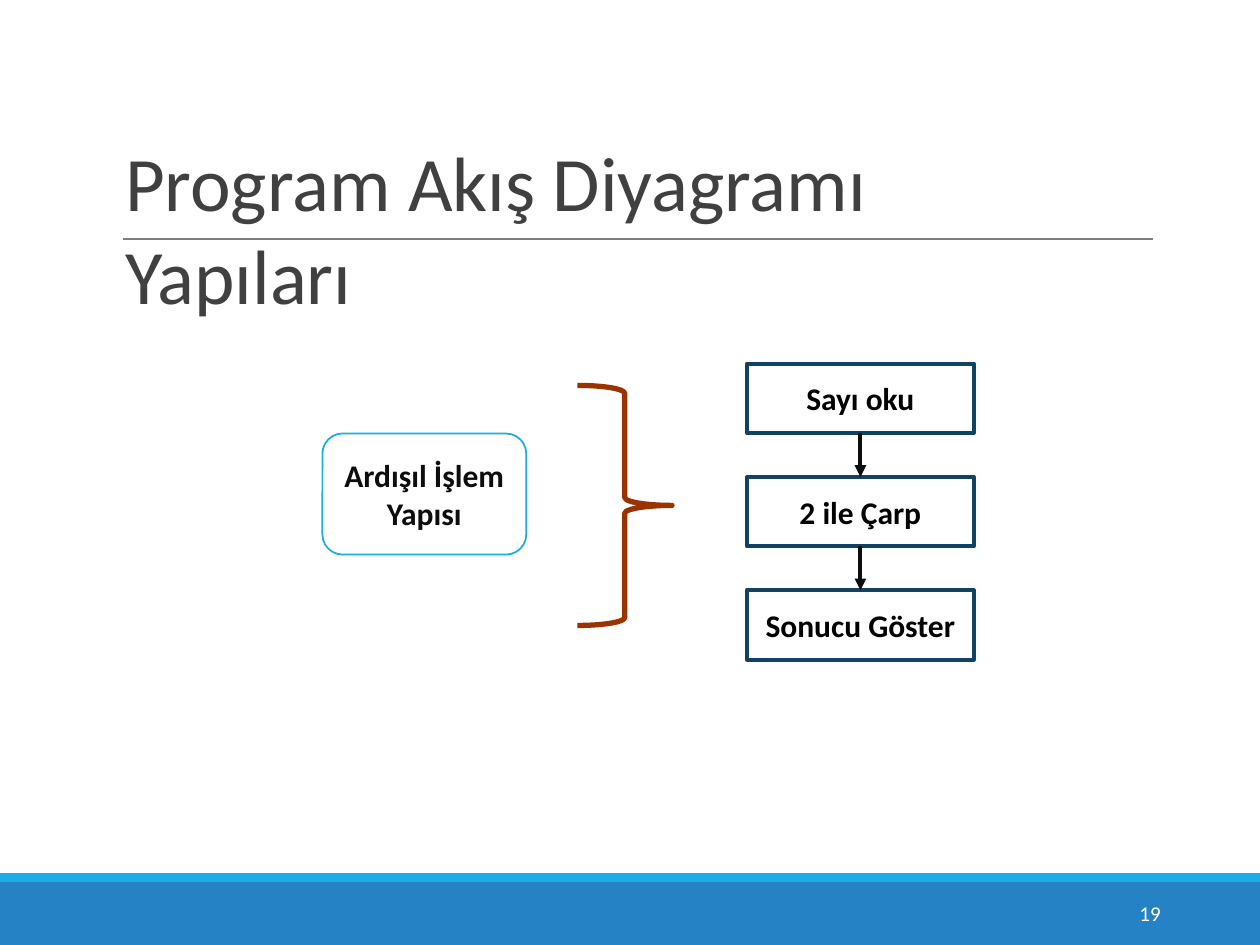
from itertools import pairwise

from lxml.etree import SubElement
from pptx import Presentation
from pptx.dml.color import RGBColor
from pptx.enum.shapes import MSO_CONNECTOR, MSO_SHAPE
from pptx.enum.text import MSO_ANCHOR, MSO_AUTO_SIZE, PP_ALIGN
from pptx.oxml.ns import qn
from pptx.util import Cm, Pt

SLIDE_WIDTH, SLIDE_HEIGHT = 25.4, 19.05
BLUE, CYAN, NAVY, RUST = "2583C5", "1CACE3", "124262", "993300"
INK, BLACK, WHITE, GRAY, TITLE_GRAY = "0D0D0D", "000000", "FFFFFF", "7E7E7E", "404040"


def color(hex_string):
    return RGBColor.from_string(hex_string)


def write(shape, lines, size, font_color, bold=False, align=PP_ALIGN.CENTER,
          anchor=MSO_ANCHOR.MIDDLE):
    frame = shape.text_frame
    frame.margin_left = frame.margin_right = frame.margin_top = frame.margin_bottom = 0
    frame.word_wrap = True
    frame.auto_size = MSO_AUTO_SIZE.NONE
    frame.vertical_anchor = anchor
    frame.text = "\n".join(lines)
    for paragraph in frame.paragraphs:
        paragraph.alignment = align
        paragraph.font.name = "Calibri"
        paragraph.font.size = Pt(size)
        paragraph.font.bold = bold
        paragraph.font.color.rgb = color(font_color)


def add_box(slide, kind, left, top, width, height, fill=None, line=None, line_width=1):
    shape = slide.shapes.add_shape(kind, Cm(left), Cm(top), Cm(width), Cm(height))
    shape.shadow.inherit = False
    if fill:
        shape.fill.solid()
        shape.fill.fore_color.rgb = color(fill)
    else:
        shape.fill.background()
    if line:
        shape.line.color.rgb = color(line)
        shape.line.width = Pt(line_width)
    else:
        shape.line.fill.background()
    return shape


def add_line(slide, start, end, line_color, width):
    line = slide.shapes.add_connector(
        MSO_CONNECTOR.STRAIGHT, *(Cm(value) for value in (*start, *end)))
    line.line.color.rgb = color(line_color)
    line.line.width = Pt(width)
    SubElement(line._element.spPr, qn("a:effectLst"))
    return line


def add_title(slide, left, top, width, height):
    title = slide.shapes.title
    title.left, title.top, title.width, title.height = (
        Cm(value) for value in (left, top, width, height))
    write(title, ["Program Akış Diyagramı Yapıları"], 44, TITLE_GRAY,
          align=PP_ALIGN.LEFT, anchor=MSO_ANCHOR.TOP)
    rule_top = top + 2.1
    add_line(slide, (left - 0.04, rule_top), (left + 20.73, rule_top), GRAY, 0.75)


def add_footer(slide, left, top, width, height):
    strip = 0.18
    add_box(slide, MSO_SHAPE.RECTANGLE, left, top + strip, width, height - strip, BLUE)
    add_box(slide, MSO_SHAPE.RECTANGLE, left, top, width, strip, CYAN)
    number = slide.shapes.add_textbox(
        Cm(left + width - 2.9), Cm(top + 0.51), Cm(0.9), Cm(0.58))
    write(number, ["19"], 12, WHITE, align=PP_ALIGN.RIGHT)


def add_structure_label(slide, left, top, width, height):
    """Place the rounded label and the brace that points to its steps."""
    label_height = 2.44
    label = add_box(slide, MSO_SHAPE.ROUNDED_RECTANGLE, left, top + 0.97,
                    4.11, label_height, line=CYAN)
    write(label, ["Ardışıl İşlem", "Yapısı"], 18, INK, bold=True)
    brace_width = 1.91
    add_box(slide, MSO_SHAPE.RIGHT_BRACE, left + width - brace_width, top,
            brace_width, height, line=RUST, line_width=3)


def add_steps(slide, left, top, width, height, names):
    """Stack the steps evenly in the box and join them with arrows."""
    step_height = 1.4
    pitch = (height - step_height) / (len(names) - 1)
    steps = []
    for index, name in enumerate(names):
        step = add_box(slide, MSO_SHAPE.RECTANGLE, left, top + index * pitch,
                       width, step_height, line=NAVY, line_width=2.28)
        write(step, [name], 18, BLACK, bold=True)
        steps.append(step)
    for upper, lower in pairwise(steps):
        arrow = add_line(slide, (left, top), (left, top), INK, 2.25)
        arrow.begin_connect(upper, 2)
        arrow.end_connect(lower, 0)
        SubElement(arrow.line._get_or_add_ln(), qn("a:tailEnd"), type="triangle")


def main():
    presentation = Presentation()
    presentation.slide_width, presentation.slide_height = Cm(SLIDE_WIDTH), Cm(SLIDE_HEIGHT)
    slide = presentation.slides.add_slide(presentation.slide_layouts[5])
    add_footer(slide, 0, 17.6, SLIDE_WIDTH, SLIDE_HEIGHT - 17.6)
    add_title(slide, 2.52, 2.72, 19.08, 1.93)
    add_structure_label(slide, 6.5, 7.77, 7.05, 4.84)
    add_steps(slide, 15.06, 7.33, 4.57, 5.97, ["Sayı oku", "2 ile Çarp", "Sonucu Göster"])
    presentation.save("out.pptx")


if __name__ == "__main__":
    main()
